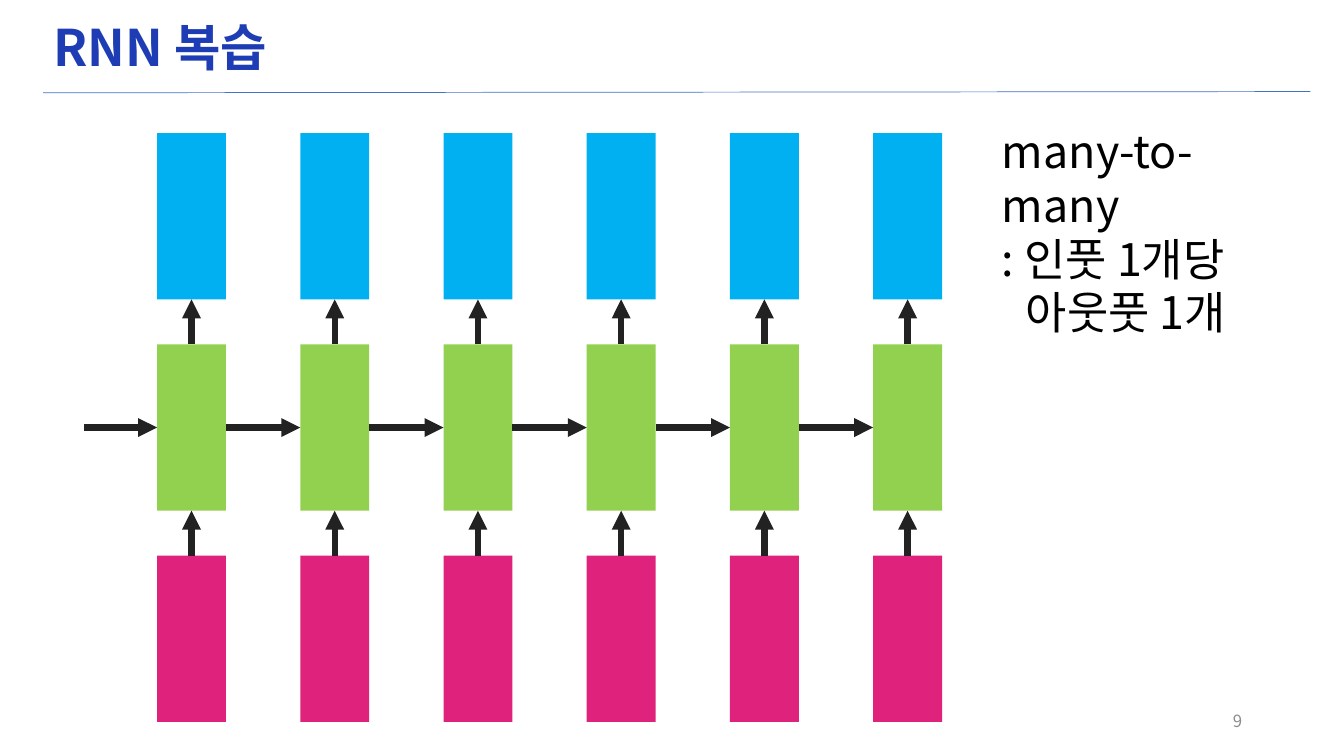
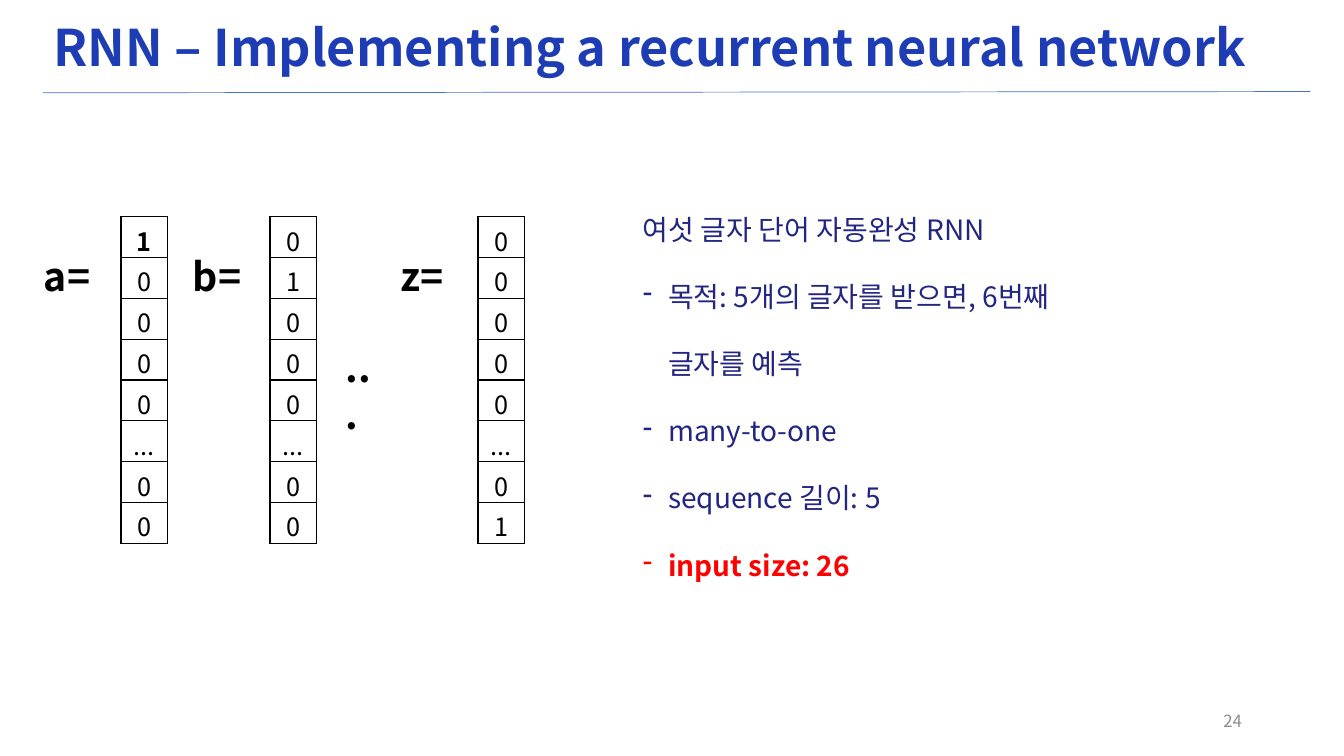
from lxml import etree
from pptx import Presentation
from pptx import util as u
from pptx.dml.color import RGBColor
from pptx.enum import shapes, text
from pptx.oxml.ns import qn

COLORS = {
    "title": "1E3DB4", "rule": "4472C4", "number": "8C8C8C", "black": "000000",
    "arrow": "222222", "output": "00B0F0", "hidden": "92D050", "input": "DF227B",
    "navy": "222581", "red": "FF0000",
}
FONT = "Noto Sans CJK KR"
COLS, ROWS = 32, 18
TOP, LEFT, BOTTOM, RIGHT = range(4)


def color(name):
    return RGBColor.from_string(COLORS[name])


def apply(obj, values):
    for name, value in values.items():
        setattr(obj, name, value)


class Deck:
    TITLE = {"size": 36, "bold": True, "color": "title"}
    NUMBER = {"size": 12, "color": "number"}

    def __init__(self):
        self.prs = Presentation()
        apply(self.prs, {"slide_width": u.Inches(13.33), "slide_height": u.Inches(7.5)})
        self.s = None

    def x(self, cols):
        return round(self.prs.slide_width * cols / COLS)

    def y(self, rows):
        return round(self.prs.slide_height * rows / ROWS)

    def box(self, x, y, w, h):
        return self.x(x), self.y(y), self.x(w), self.y(h)

    def slide(self, title, number):
        self.s = self.prs.slides.add_slide(self.prs.slide_layouts[6])
        middle = {"vertical_anchor": text.MSO_ANCHOR.MIDDLE}
        self.text((1.03, 0.22, 29.74, 1.94), [title], self.TITLE, {"line_spacing": 0.9}, middle)
        self.line((1.03, 2.21), (31.2, 2.18), "rule", 0.5)
        self.text((22.61, 16.68, 7.2, 0.96), [number], self.NUMBER,
                  {"alignment": text.PP_ALIGN.RIGHT}, middle)

    def run(self, p, content, style, para=None):
        apply(p, para or {})
        r = p.add_run()
        r.text = content
        apply(r.font, {"name": FONT, "size": u.Pt(style["size"]),
                       "bold": style.get("bold", False)})
        r.font.color.rgb = color(style["color"])
        etree.SubElement(r.font._element, qn("a:ea"), typeface=FONT)

    def text(self, at, items, style, para=None, frame=None):
        tf = self.s.shapes.add_textbox(*self.box(*at)).text_frame
        apply(tf, {"word_wrap": True, **(frame or {})})
        for i, item in enumerate(items):
            content, extra = item if isinstance(item, tuple) else (item, {})
            p = tf.add_paragraph() if i else tf.paragraphs[0]
            self.run(p, content, {**style, **extra}, para)
            if "indent" in extra:
                self.indent(p, extra["indent"], extra.get("bullet"))

    def indent(self, p, cols, bullet=None):
        pPr = p._p.get_or_add_pPr()
        pPr.set("marL", str(self.x(cols)))
        if bullet:
            pPr.set("indent", str(-self.x(cols)))
            etree.SubElement(pPr, qn("a:buChar"), char=bullet)

    def rect(self, at, fill):
        sp = self.s.shapes.add_shape(shapes.MSO_SHAPE.RECTANGLE, *self.box(*at))
        sp.shadow.inherit = False
        sp.fill.solid()
        sp.fill.fore_color.rgb = color(fill)
        sp.line.fill.background()
        return sp

    def line(self, start, end, name, width):
        ends = (self.x(start[0]), self.y(start[1]), self.x(end[0]), self.y(end[1]))
        cn = self.s.shapes.add_connector(shapes.MSO_CONNECTOR.STRAIGHT, *ends)
        cn.line.color.rgb = color(name)
        cn.line.width = u.Pt(width)
        etree.SubElement(cn._element.spPr, qn("a:effectLst"))
        return cn

    def arrow(self, target, side, source=None, source_side=None, start=(0, 0)):
        cn = self.line(start, (0, 0), "arrow", 4.5)
        if source is not None:
            cn.begin_connect(source, source_side)
        cn.end_connect(target, side)
        etree.SubElement(cn.line._get_or_add_ln(), qn("a:tailEnd"), type="triangle")

    def vector(self, at, values, style, bold_row=None, cell_format=None):
        tbl = self.s.shapes.add_table(len(values), 1, *self.box(*at)).table
        apply(tbl, {"first_row": False, "horz_banding": False})
        for i, value in enumerate(values):
            cell = tbl.cell(i, 0)
            apply(cell, cell_format or {})
            self.border(cell)
            cell.fill.background()
            self.run(cell.text_frame.paragraphs[0], value,
                     {**style, "bold": i == bold_row},
                     {"alignment": text.PP_ALIGN.CENTER})

    def border(self, cell):
        tcPr = cell._tc.get_or_add_tcPr()
        for tag in ("a:lnL", "a:lnR", "a:lnT", "a:lnB"):
            ln = etree.SubElement(tcPr, qn(tag), w=str(u.Pt(1)))
            fill = etree.SubElement(ln, qn("a:solidFill"))
            etree.SubElement(fill, qn("a:srgbClr"), val=COLORS["black"])


def review_slide(d):
    d.slide("RNN 복습", "9")
    left, top, step_x, step_y = 3.74, 3.17, 3.41, 5.03
    width, height = 1.64, 3.96
    previous = None
    for i in range(6):
        output, hidden, source = [
            d.rect((left + i * step_x, top + j * step_y, width, height), layer)
            for j, layer in enumerate(("output", "hidden", "input"))
        ]
        d.arrow(hidden, BOTTOM, source, TOP)
        d.arrow(output, BOTTOM, hidden, TOP)
        d.arrow(hidden, LEFT, previous, RIGHT, start=(2, top + step_y + height / 2))
        previous = hidden
    d.text((23.62, 2.83, 7.68, 4.13),
           ["many-to-many", ": 인풋 1개당", ("아웃풋 1개", {"indent": 0.57})],
           {"size": 32, "color": "black"})


def implementation_slide(d):
    d.slide("RNN – Implementing a recurrent neural network", "24")
    dash = {"indent": 0.6, "bullet": "-"}
    d.text((15.07, 4.13, 11.28, 11.35),
           ["여섯 글자 단어 자동완성 RNN",
            ("목적: 5개의 글자를 받으면, 6번째 글자를 예측", dash),
            ("many-to-one", dash),
            ("sequence 길이: 5", dash),
            ("input size: 26", {**dash, "color": "red", "bold": True})],
           {"size": 20, "color": "navy"}, {"line_spacing": 2.0})
    label = {"size": 28, "bold": True, "color": "black"}
    tight = {"margin_bottom": 0}
    vectors = (("a=", 2.88, 0, 0, {}), ("b=", 6.43, 1, None, tight),
               ("z=", 11.38, 7, None, tight))
    for name, x, hot, bold_row, cell_format in vectors:
        values = ["1" if i == hot else "..." if i == 5 else "0" for i in range(8)]
        d.vector((x, 5.16, 1.1, 7.78), values, {"size": 18, "color": "black"},
                 bold_row, cell_format)
        d.text((x - 2.07, 5.9, 1.76, 1.37), [name], label)
    d.text((7.99, 8.06, 1.22, 1.37), ["..."], label)


def main():
    d = Deck()
    review_slide(d)
    implementation_slide(d)
    d.prs.save("out.pptx")


if __name__ == "__main__":
    main()
